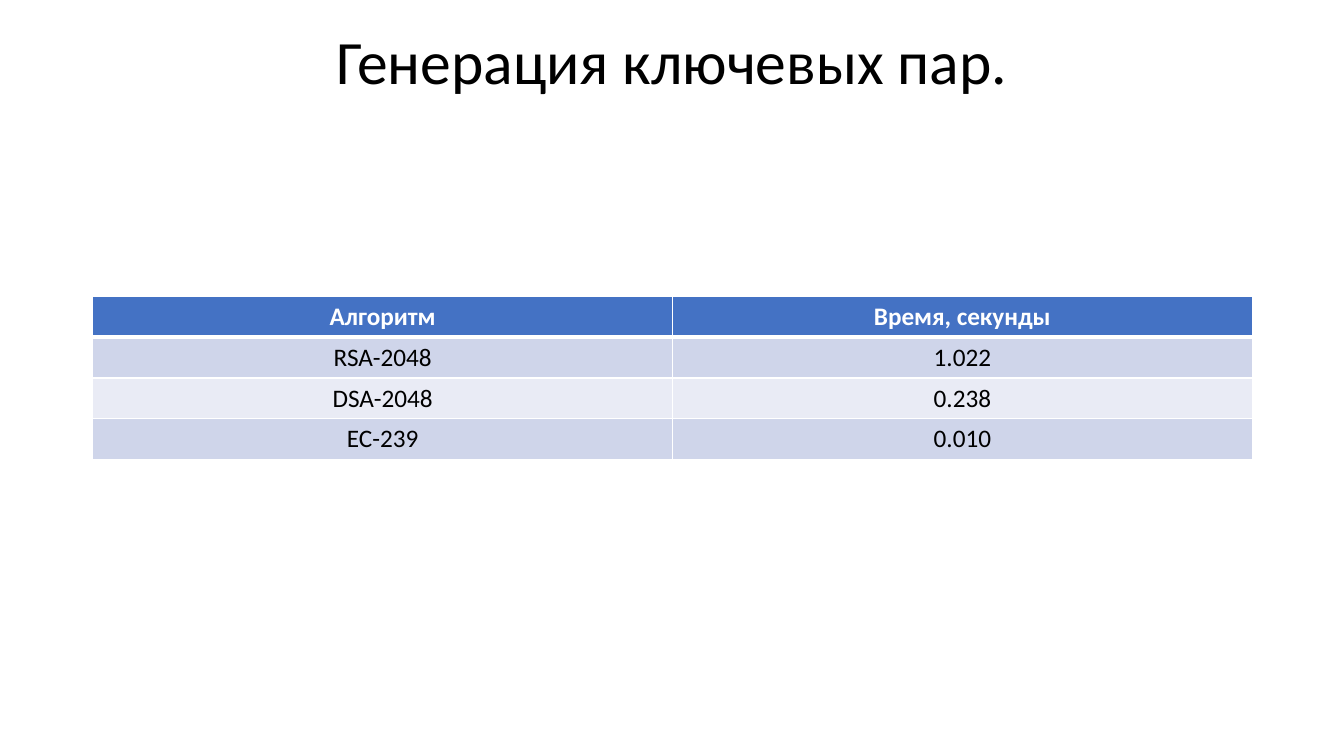
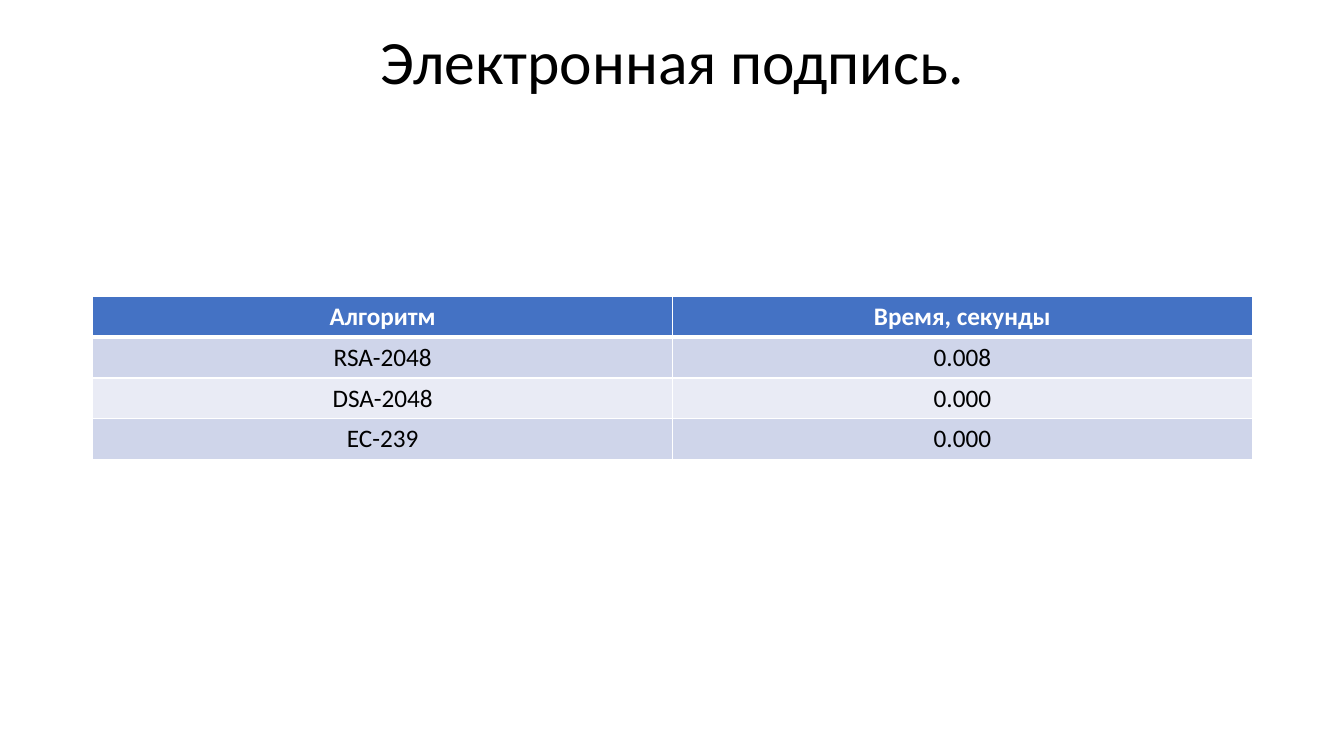
"""Build two slides comparing the running times of signature algorithms."""
from lxml import etree
from pptx import Presentation
from pptx.dml.color import RGBColor
from pptx.enum.text import MSO_ANCHOR, PP_ALIGN
from pptx.oxml.ns import qn
from pptx.util import Inches, Pt

CENTER = PP_ALIGN.CENTER
MIDDLE = MSO_ANCHOR.MIDDLE

COLORS = {
    "text": "000000",
    "header_text": "FFFFFF",
    "header": "4472C4",
    "odd_row": "CFD5EA",
    "even_row": "E9EBF5",
    "border": "FFFFFF",
}
FONT = "Calibri"
LEFT, WIDTH = 0.92, 11.5
HEADER = ("Алгоритм", "Время, секунды")
ALGORITHMS = ("RSA-2048", "DSA-2048", "EC-239")
SLIDES = (
    ("Генерация ключевых пар.", ("1.022", "0.238", "0.010")),
    ("Электронная подпись.", ("0.008", "0.000", "0.000")),
)


class Deck:
    def __init__(self):
        self.deck = Presentation()
        self.deck.slide_width = Inches(13.33)
        self.deck.slide_height = Inches(7.5)
        self.page = None

    def add_page(self):
        self.page = self.deck.slides.add_slide(self.deck.slide_layouts[6])

    def set_text(self, frame, text, size, color, bold=False):
        frame.text = text
        para = frame.paragraphs[0]
        para.alignment = CENTER
        span = para.runs[0]
        span.font.name = FONT
        span.font.size = Pt(size)
        span.font.bold = bold
        span.font.color.rgb = RGBColor.from_string(COLORS[color])
        return para

    def title(self, text):
        box = self.page.shapes.add_textbox(
            Inches(LEFT), Inches(0.16), Inches(WIDTH), Inches(0.96))
        frame = box.text_frame
        frame.word_wrap = True
        frame.vertical_anchor = MIDDLE
        self.set_text(frame, text, 44, "text").line_spacing = 0.9

    def borders(self, cell, top, bottom):
        properties = cell._tc.get_or_add_tcPr()
        for side, points in (("L", 1), ("R", 1), ("T", top), ("B", bottom)):
            line = etree.SubElement(
                properties, qn(f"a:ln{side}"), w=str(Pt(points)))
            fill = etree.SubElement(line, qn("a:solidFill"))
            etree.SubElement(fill, qn("a:srgbClr"), val=COLORS["border"])

    def table(self, rows):
        table = self.page.shapes.add_table(
            len(rows), len(rows[0]), Inches(LEFT), Inches(2.94),
            Inches(WIDTH), Inches(1.62)).table
        for row_index, row in enumerate(rows):
            is_header = row_index == 0
            band = "odd_row" if row_index % 2 else "even_row"
            for column_index, text in enumerate(row):
                cell = table.cell(row_index, column_index)
                self.borders(cell, 3 if row_index == 1 else 1,
                             3 if is_header else 1)
                cell.fill.solid()
                cell.fill.fore_color.rgb = RGBColor.from_string(
                    COLORS["header" if is_header else band])
                self.set_text(cell.text_frame, text, 18,
                              "header_text" if is_header else "text",
                              is_header)


def main():
    deck = Deck()
    for title, times in SLIDES:
        deck.add_page()
        deck.title(title)
        deck.table([HEADER, *zip(ALGORITHMS, times)])
    deck.deck.save("out.pptx")


if __name__ == "__main__":
    main()
